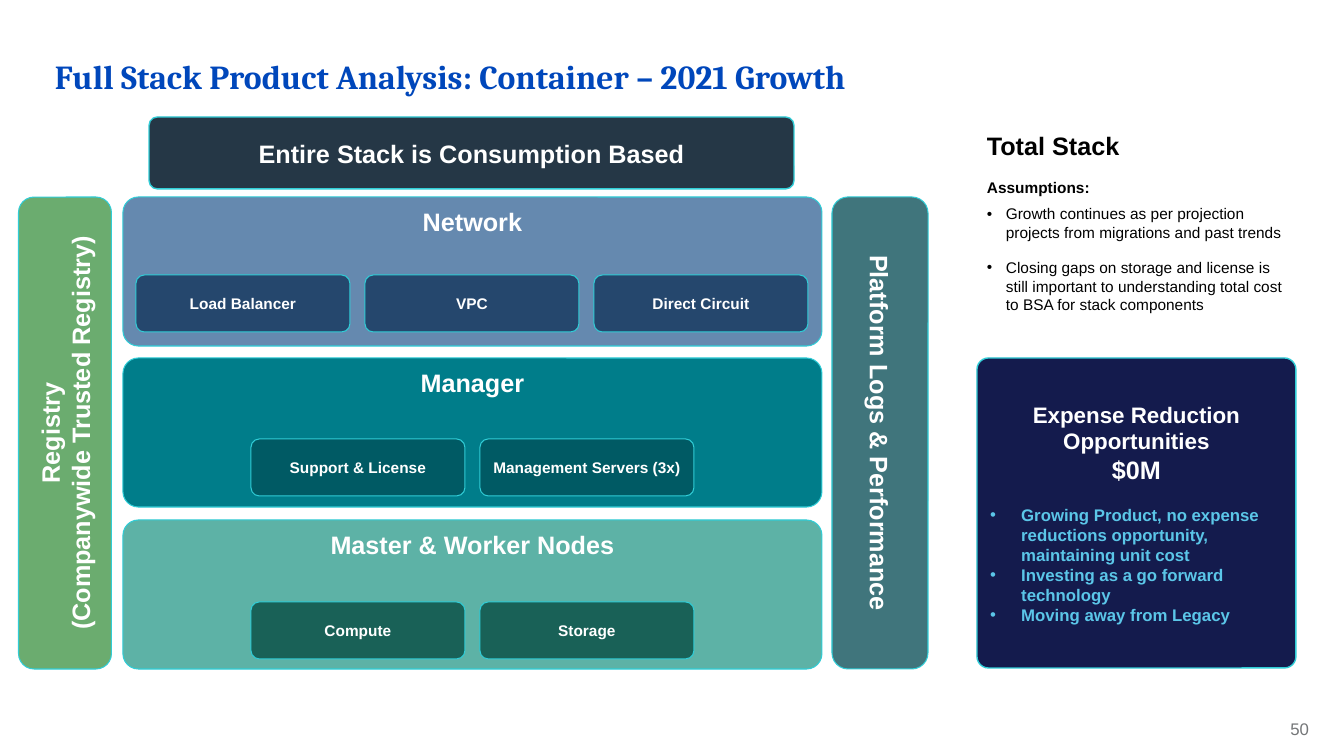
from lxml import etree
from pptx import Presentation
from pptx.dml.color import RGBColor
from pptx.enum.shapes import MSO_SHAPE
from pptx.enum.text import MSO_ANCHOR, PP_ALIGN
from pptx.oxml.ns import qn
from pptx.util import Pt

PX = 914400 / 100.8
ROUNDED = MSO_SHAPE.ROUNDED_RECTANGLE
TOP, MIDDLE = MSO_ANCHOR.TOP, MSO_ANCHOR.MIDDLE
LEFT, CENTER, RIGHT = PP_ALIGN.LEFT, PP_ALIGN.CENTER, PP_ALIGN.RIGHT

WHITE = RGBColor(0xFF, 0xFF, 0xFF)
BLACK = RGBColor(0x00, 0x00, 0x00)
TITLE_BLUE = RGBColor(0x00, 0x47, 0xBB)
OUTLINE = RGBColor(0x30, 0xCD, 0xD7)
GREEN = RGBColor(0x3A, 0x91, 0x3F)
DARK_TEAL = RGBColor(0x00, 0x48, 0x51)
SLATE = RGBColor(0x25, 0x37, 0x46)
BLUE = RGBColor(0x32, 0x62, 0x95)
TILE_BLUE = RGBColor(0x25, 0x47, 0x6D)
TEAL = RGBColor(0x00, 0x7D, 0x8A)
TILE_TEAL = RGBColor(0x00, 0x5A, 0x64)
SEA_GREEN = RGBColor(0x27, 0x99, 0x89)
TILE_GREEN = RGBColor(0x19, 0x61, 0x57)
NAVY = RGBColor(0x14, 0x1B, 0x4D)
SKY = RGBColor(0x5B, 0xC6, 0xE8)
GRAY = RGBColor(0x74, 0x76, 0x78)

deck = Presentation()
deck.slide_width, deck.slide_height = round(1344 * PX), round(756 * PX)
page = deck.slides.add_slide(deck.slide_layouts[6])


def add_para(box, text, size, color, align=LEFT, bold=True, before=0, after=0,
             bullet_indent=0, font="Arial"):
    """Fill the empty first paragraph of the box, or append one after it."""
    frame = box.text_frame
    frame.word_wrap = True
    para = frame.add_paragraph() if frame.text else frame.paragraphs[0]
    para.text = text
    para.alignment = align
    para.space_before, para.space_after = Pt(before), Pt(after)
    if bullet_indent:
        props = para._p.get_or_add_pPr()
        indent = round(bullet_indent * PX)
        props.set("marL", str(indent))
        props.set("indent", str(-indent))
        etree.SubElement(props, qn("a:buFont")).set("typeface", "Arial")
        etree.SubElement(props, qn("a:buChar")).set("char", "•")
    para.font.name, para.font.size, para.font.bold = font, Pt(size), bold
    para.font.color.rgb = color
    return para


def add_panel(left, top, width, height, fill, corner, line=0.75, anchor=MIDDLE, opacity=100):
    panel = page.shapes.add_shape(ROUNDED, *(round(n * PX) for n in (left, top, width, height)))
    panel.shadow.inherit = False
    panel.adjustments[0] = corner
    panel.fill.solid()
    panel.fill.fore_color.rgb = fill
    if opacity < 100:
        color = panel._element.spPr.find(qn("a:solidFill"))[0]
        etree.SubElement(color, qn("a:alpha")).set("val", str(opacity * 1000))
    panel.line.color.rgb = OUTLINE
    panel.line.width = Pt(line)
    panel.text_frame.vertical_anchor = anchor
    return panel


# Title and page number
for left, top, width, height, text, size, color, align, bold, font in [
    (55, 60, 1233, 103, "Full Stack Product Analysis: Container – 2021 Growth",
     24, TITLE_BLUE, LEFT, True, "Cambria"),
    (1225, 721, 84, 21, "50", 12, GRAY, RIGHT, False, "Arial"),
]:
    box = page.shapes.add_textbox(*(round(n * PX) for n in (left, top, width, height)))
    frame = box.text_frame
    frame.margin_left = frame.margin_top = frame.margin_right = frame.margin_bottom = 0
    add_para(box, text, size, color, align, bold, font=font).line_spacing = 0.9

# Rotated side bars, placed by their centres
BAR_LENGTH, BAR_MIDDLE = 472, 433
for center, thickness, rotation, fill, lines in [
    (65, 93, 270, GREEN, ["Registry", "(Companywide Trusted Registry)"]),
    (880, 96, 90, DARK_TEAL, ["Platform Logs & Performance"]),
]:
    bar = add_panel(center - BAR_LENGTH / 2, BAR_MIDDLE - thickness / 2,
                    BAR_LENGTH, thickness, fill, 0.167, opacity=75)
    bar.rotation = rotation
    bar.text_frame.margin_top = bar.text_frame.margin_bottom = round(10 * PX)
    for text in lines:
        add_para(bar, text, 18, WHITE, CENTER)

banner = add_panel(149, 117, 645, 72, SLATE, 0.116, line=1)
add_para(banner, "Entire Stack is Consumption Based", 18, WHITE, CENTER)

# Stack layers, each with a centred row of tiles
LAYER_LEFT, LAYER_WIDTH, LAYER_HEIGHT = 123, 699, 149
TILE_WIDTH, TILE_HEIGHT, TILE_PITCH = 214, 57, 229
for top, tile_top, name, fill, opacity, tile_fill, tiles in [
    (197, 275, "Network", BLUE, 75, TILE_BLUE, ["Load Balancer", "VPC", "Direct Circuit"]),
    (358, 439, "Manager", TEAL, 100, TILE_TEAL,
     ["Support & License", "Management Servers (3x)"]),
    (520, 602, "Master & Worker Nodes", SEA_GREEN, 75, TILE_GREEN, ["Compute", "Storage"]),
]:
    layer = add_panel(LAYER_LEFT, top, LAYER_WIDTH, LAYER_HEIGHT, fill, 0.103,
                      anchor=TOP, opacity=opacity)
    add_para(layer, name, 18, WHITE, CENTER)
    row_width = TILE_PITCH * (len(tiles) - 1) + TILE_WIDTH
    row_left = LAYER_LEFT + (LAYER_WIDTH - row_width) // 2
    for column, text in enumerate(tiles):
        tile = add_panel(row_left + column * TILE_PITCH, tile_top, TILE_WIDTH, TILE_HEIGHT,
                         tile_fill, 0.145)
        add_para(tile, text, 11, WHITE, CENTER)

# Right column
summary = page.shapes.add_textbox(*(round(n * PX) for n in (977, 125, 319, 197)))
add_para(summary, "Total Stack", 18, BLACK)
add_para(summary, "Assumptions:", 11, BLACK, before=12.5, after=6)
for text in [
    "Growth continues as per projection projects from migrations and past trends",
    "Closing gaps on storage and license is still important to understanding total cost "
    "to BSA for stack components",
]:
    add_para(summary, text, 11, BLACK, bold=False, after=12, bullet_indent=19)

savings = add_panel(977, 358, 319, 310, NAVY, 0.037, line=1)
add_para(savings, "Expense Reduction Opportunities", 16, WHITE, CENTER)
add_para(savings, "$0M", 18, WHITE, CENTER, after=14)
for text in [
    "Growing Product, no expense reductions opportunity, maintaining unit cost",
    "Investing as a go forward technology",
    "Moving away from Legacy",
]:
    add_para(savings, text, 12, SKY, bullet_indent=31)

deck.save("out.pptx")
